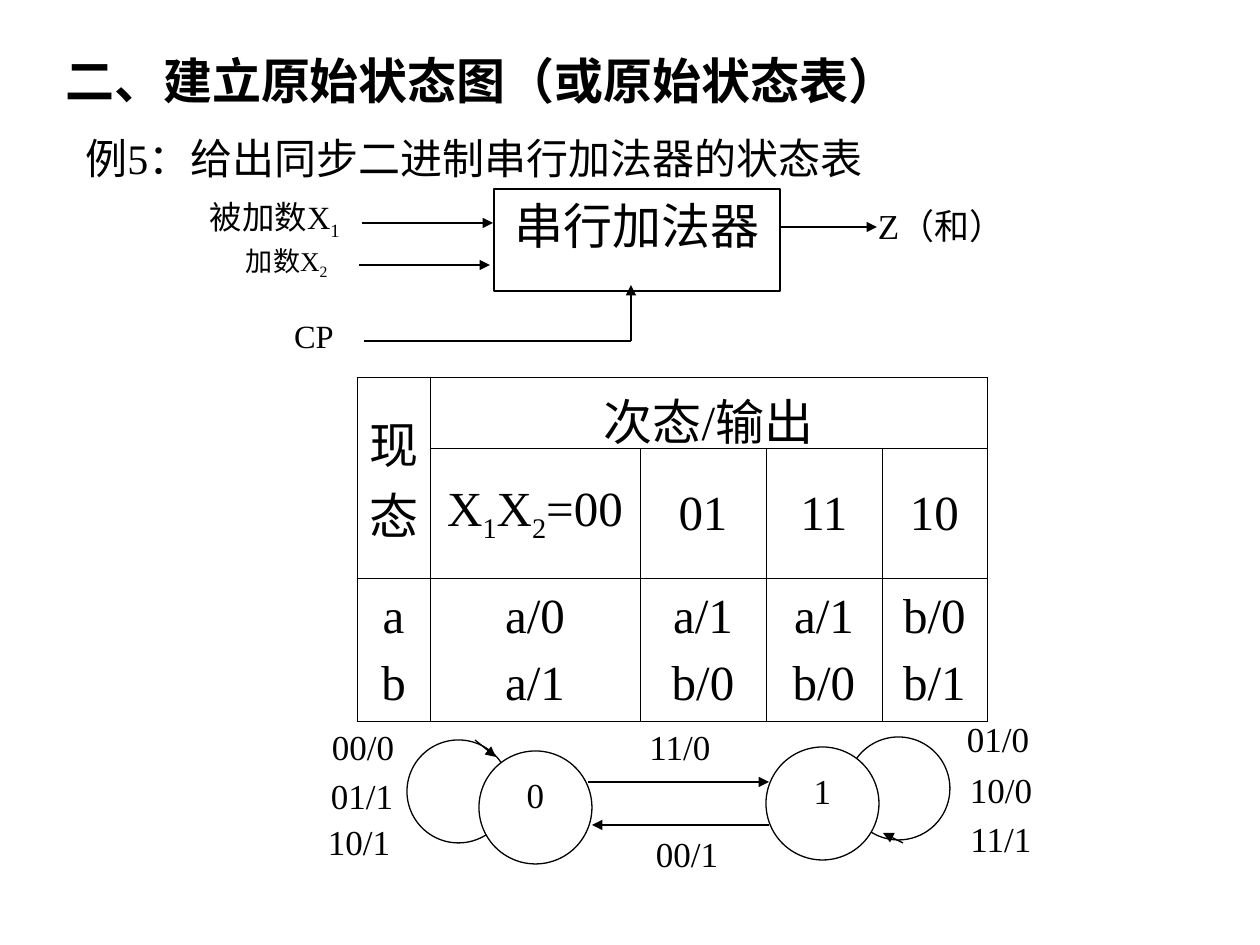
from dataclasses import dataclass

from lxml.etree import SubElement as Sub
from pptx import Presentation
from pptx.dml.color import RGBColor as Rgb
from pptx.enum.shapes import MSO_CONNECTOR as Conn, MSO_SHAPE as Shape
from pptx.enum.text import MSO_ANCHOR as Anchor, PP_ALIGN as Align
from pptx.oxml.ns import qn
from pptx.util import Emu, Pt


@dataclass(frozen=True)
class Theme:
    ink: Rgb = Rgb(0, 0, 0)
    paper: Rgb = Rgb(255, 255, 255)
    font: str = "Times New Roman"
    head: float = 28
    body: float = 24
    label: float = 20
    port: float = 18.5
    small: float = 15.5
    line: float = 0.75
    grid: float = 0.45


theme = Theme()
SCALE = 914400 / 126


def px(*nums):
    return [Emu(round(n * SCALE)) for n in nums]


def write(frame, text, size=theme.label, align=Align.CENTER, bold=False, gap=0, pad=True):
    """One paragraph per line of text; the character after "_" is a subscript."""
    frame.word_wrap = True
    if not pad:
        frame.margin_left = frame.margin_right = 0
        frame.margin_top = frame.margin_bottom = 0
    for i, row in enumerate(text.split("\n")):
        para = frame.paragraphs[0] if i == 0 else frame.add_paragraph()
        para.alignment = align
        if i:
            para.space_before = Pt(gap)
        first, *rest = row.split("_")
        parts = [(first, False)]
        for bit in rest:
            parts += [(bit[:1], True), (bit[1:], False)]
        for word, low in parts:
            if not word:
                continue
            run = para.add_run()
            run.text = word
            run.font.name = theme.font
            run.font.size = Pt(size)
            run.font.bold = bold
            run.font.color.rgb = theme.ink
            if low:
                run._r.get_or_add_rPr().set("baseline", "-25000")


deck = Presentation()
deck.slide_width, deck.slide_height = px(1260, 945)
slide = deck.slides.add_slide(deck.slide_layouts[6])
shapes = slide.shapes

# Headings
title = shapes.add_textbox(*px(53, 44, 987, 72))
write(title.text_frame, "二、建立原始状态图（或原始状态表）", size=theme.head,
      align=Align.LEFT, bold=True)
task = shapes.add_textbox(*px(73, 126, 1113, 63))
write(task.text_frame, "例5：给出同步二进制串行加法器的状态表", size=theme.body,
      align=Align.JUSTIFY)

# Adder block, self loops behind the states, then the states
outlines = [
    (Shape.RECTANGLE, 494, 189, 286, 102, "串行加法器", theme.head),
    (Shape.OVAL, 407, 740, 103, 103, "", theme.label),
    (Shape.OVAL, 847, 737, 103, 103, "", theme.label),
    (Shape.OVAL, 479, 751, 113, 113, "0", theme.label),
    (Shape.OVAL, 766, 747, 113, 113, "1", theme.label),
]
links = [
    (362, 223, 493, 223, True),
    (359, 265, 490, 265, True),
    (631, 341, 364, 341, False),
    (631, 341, 631, 285, True),
    (780, 227, 877, 227, True),
    (475, 740, 496, 757, True),
    (903, 843, 883, 833, True),
    (588, 782, 769, 782, True),
    (769, 825, 592, 825, True),
]
for kind, x, y, w, h, text, size in outlines:
    node = shapes.add_shape(kind, *px(x, y, w, h))
    node.shadow.inherit = False
    node.line.color.rgb = theme.ink
    node.line.width = Pt(theme.line)
    if kind == Shape.OVAL:
        node.fill.solid()
        node.fill.fore_color.rgb = theme.paper
    else:
        node.fill.background()
    if text:
        node.text_frame.vertical_anchor = Anchor.TOP
        write(node.text_frame, text, size=size)

for *ends, arrow in links:
    link = shapes.add_connector(Conn.STRAIGHT, *px(*ends))
    link.line.color.rgb = theme.ink
    link.line.width = Pt(theme.line)
    if arrow:
        Sub(link.line._get_or_add_ln(), qn("a:tailEnd"), type="triangle")
    Sub(link._element.spPr, qn("a:effectLst"))

# Port names and transition labels
labels = [
    (210, 197, 155, "被加数X_1", theme.port, Align.JUSTIFY),
    (246, 244, 112, "加数X_2", theme.small, Align.JUSTIFY),
    (294, 316, 67, "CP", theme.port, Align.JUSTIFY),
    (878, 205, 161, "Z（和）", theme.label, Align.JUSTIFY),
    (319, 726, 88, "00/0", theme.label, Align.CENTER),
    (319, 775, 86, "01/1", theme.label, Align.CENTER),
    (315, 821, 88, "10/1", theme.label, Align.CENTER),
    (634, 726, 92, "11/0", theme.label, Align.CENTER),
    (641, 833, 92, "00/1", theme.label, Align.CENTER),
    (954, 718, 88, "01/0", theme.label, Align.CENTER),
    (958, 769, 86, "10/0", theme.label, Align.CENTER),
    (958, 818, 86, "11/1", theme.label, Align.CENTER),
]
for x, y, w, text, size, align in labels:
    box = shapes.add_textbox(*px(x, y, w, 48))
    write(box.text_frame, text, size=size, align=align, pad=False)

# State table
cols = [73, 210, 126, 116, 105]
rows = [71, 130, 143]
cells = [
    ["现态", "次态/输出", "", "", ""],
    ["", "X_1X_2=00", "01", "11", "10"],
    ["a\nb", "a/0\na/1", "a/1\nb/0", "a/1\nb/0", "b/0\nb/1"],
]
table = shapes.add_table(len(rows), len(cols), *px(357, 377, sum(cols), sum(rows))).table
table.first_row = table.horz_banding = False
for col, width in zip(table.columns, px(*cols)):
    col.width = width
for row, height in zip(table.rows, px(*rows)):
    row.height = height
table.cell(0, 0).merge(table.cell(1, 0))
table.cell(0, 1).merge(table.cell(0, 4))
for r, texts in enumerate(cells):
    for c, text in enumerate(texts):
        cell = table.cell(r, c)
        cell.vertical_anchor = Anchor.MIDDLE
        props = cell._tc.get_or_add_tcPr()
        for side in ("lnL", "lnR", "lnT", "lnB"):
            edge = Sub(props, qn(f"a:{side}"), w=str(Pt(theme.grid)))
            paint = Sub(edge, qn("a:solidFill"))
            Sub(paint, qn("a:srgbClr"), val=str(theme.ink))
        cell.fill.background()
        if text:
            write(cell.text_frame, text, size=theme.head, gap=7)

deck.save("out.pptx")
